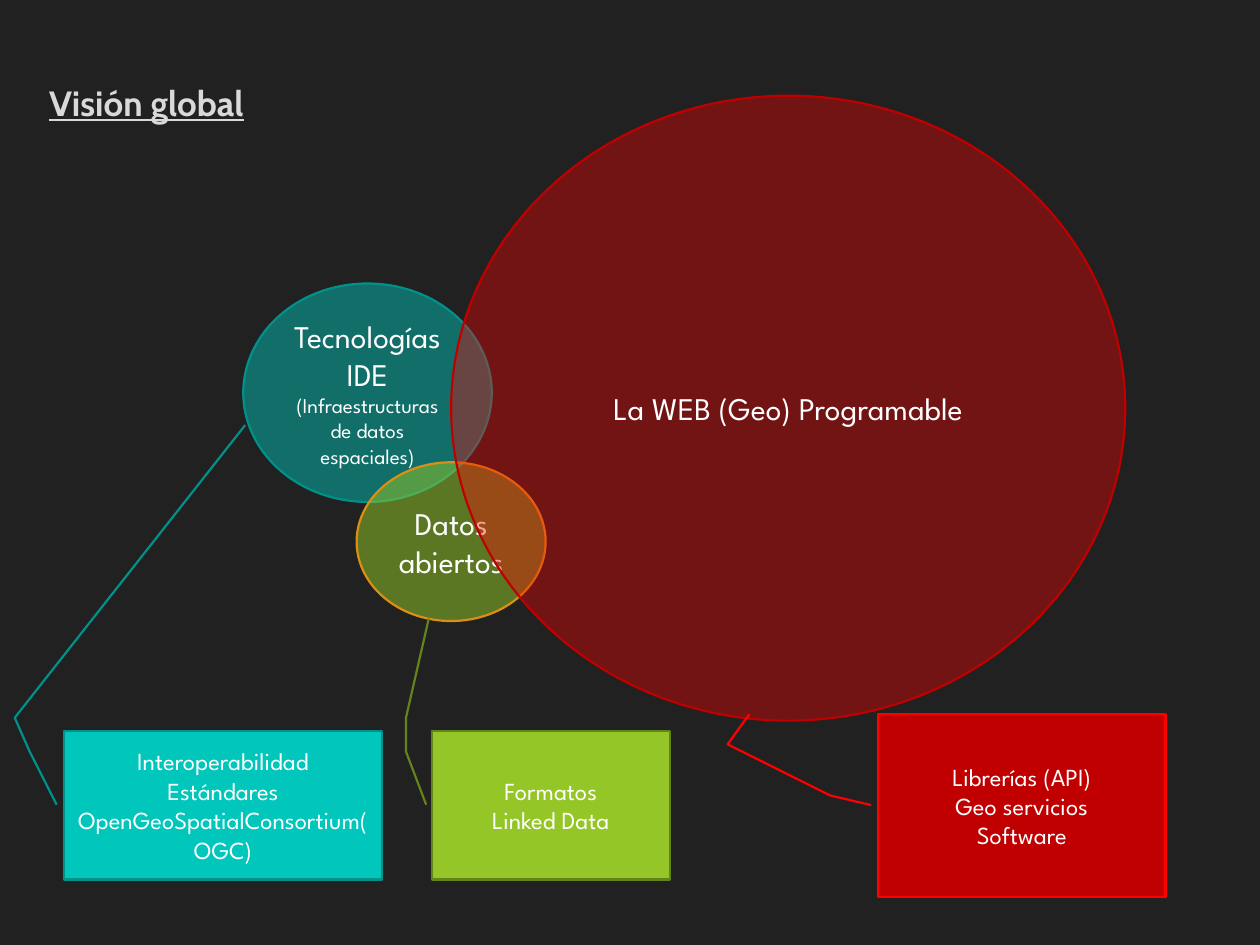
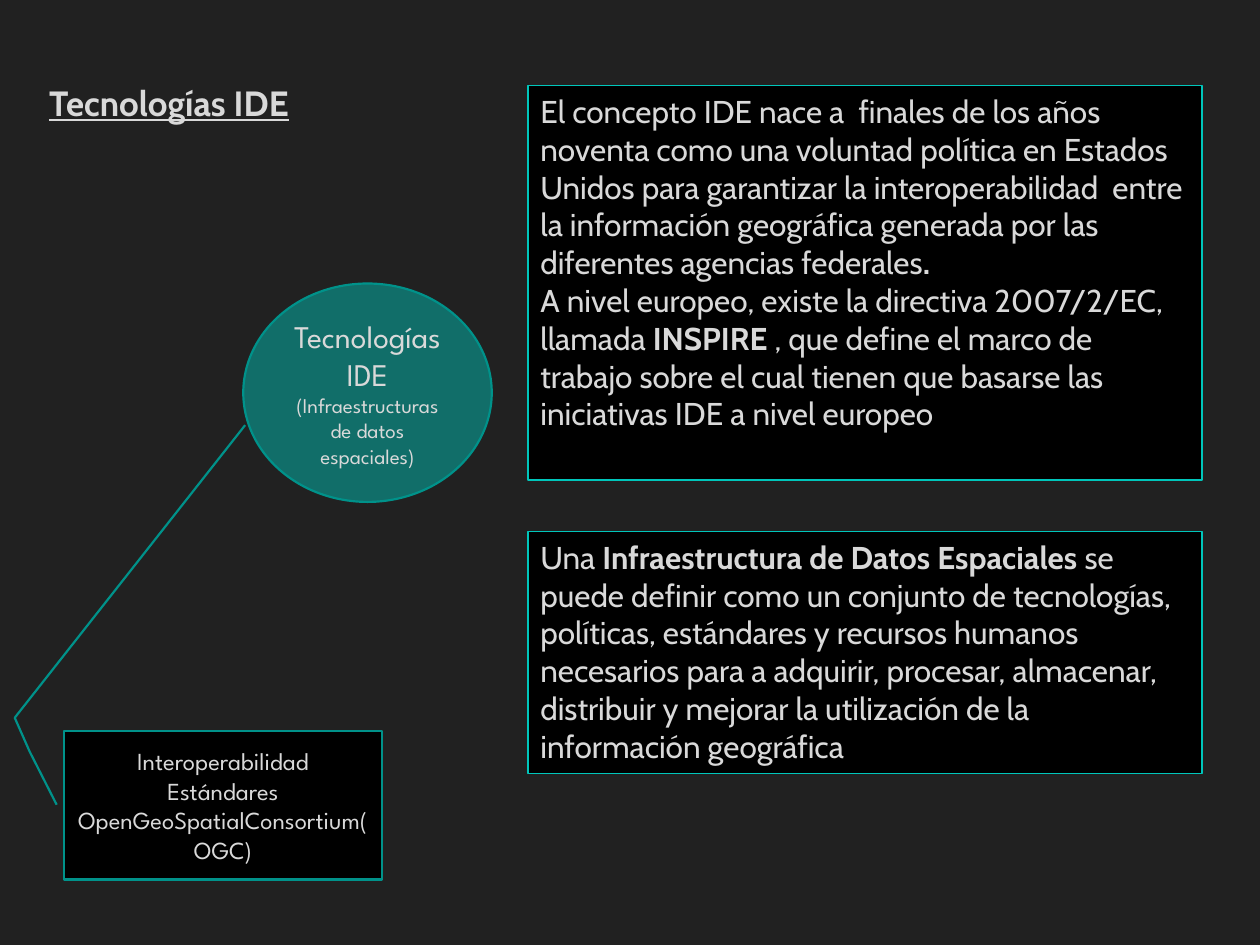
import lxml.etree
import pptx
import pptx.dml.color
import pptx.enum.shapes
import pptx.enum.text
import pptx.oxml.ns
import pptx.util

Pt = pptx.util.Pt
Shapes = pptx.enum.shapes.MSO_SHAPE
Align = pptx.enum.text.PP_ALIGN
Anchor = pptx.enum.text.MSO_ANCHOR

BACKGROUND, BLACK, WHITE, GREY = "212121", "000000", "FFFFFF", "D9D9D9"
TURQUOISE, TEAL = "00C6BB", "00928A"
LIME, OLIVE, ORANGE = "94C627", "63841A", "DC8F14"
RED, CRIMSON = "FF0000", "C00000"
TITLE_FONT, DIAGRAM_FONT = "Cabin", "League Spartan"

TECHNOLOGIES = [("Tecnologías IDE", 18), ("(Infraestructuras de datos espaciales)", 12)]
STANDARDS = ["Interoperabilidad", "Estándares", "OpenGeoSpatialConsortium(OGC)"]
STANDARDS_BOX = (36.7, 417.6, 181.4, 85)
STANDARDS_LEADER = (0.497, -0.024, 0.14, -0.109, -0.088, -0.156, -2.055, 0.57)
DEFINITION_LEFT, DEFINITION_WIDTH = 301.7, 385.2


def rgb(hex_colour):
    return pptx.dml.color.RGBColor.from_string(hex_colour)


class Deck:
    """Hold the shared style and the slide being drawn."""

    def __init__(self):
        self.presentation = pptx.Presentation()
        self.presentation.slide_width = Pt(720)
        self.presentation.slide_height = Pt(540)
        self.slide = None

    def start(self, title):
        self.slide = self.presentation.slides.add_slide(self.presentation.slide_layouts[6])
        background = self.slide.background.fill
        background.solid()
        background.fore_color.rgb = rgb(BACKGROUND)
        heading = self.slide.shapes.add_textbox(Pt(21), Pt(43), Pt(178), Pt(32))
        heading.text_frame.word_wrap = False
        self.add_text(heading, [[(title, 20, True)]], TITLE_FONT, GREY, Align.LEFT, True)

    def add_text(self, shape, paragraphs, font, colour, align, underline=None):
        frame = shape.text_frame
        for index, runs in enumerate(paragraphs):
            paragraph = frame.add_paragraph() if index else frame.paragraphs[0]
            paragraph.alignment = align
            for text, size, bold in runs:
                run = paragraph.add_run()
                run.text = text
                run.font.name = font
                run.font.size = Pt(size)
                run.font.bold = bold
                run.font.underline = underline
                run.font.color.rgb = rgb(colour)

    def outline(self, preset, box, fill, line, width=1.25, opacity=100):
        shape = self.slide.shapes.add_shape(preset, *map(Pt, box))
        shape.shadow.inherit = False
        shape.fill.solid()
        shape.fill.fore_color.rgb = rgb(fill)
        if opacity < 100:
            colour = shape._element.spPr.find(".//" + pptx.oxml.ns.qn("a:srgbClr"))
            alpha = lxml.etree.SubElement(colour, pptx.oxml.ns.qn("a:alpha"))
            alpha.set("val", str(opacity * 1000))
        shape.line.color.rgb = rgb(line)
        shape.line.width = Pt(width)
        shape.text_frame.word_wrap = True
        shape.text_frame.vertical_anchor = Anchor.MIDDLE
        return shape

    def bubble(self, box, lines, fill, line, opacity, colour=WHITE):
        circle = self.outline(Shapes.OVAL, box, fill, line, opacity=opacity)
        paragraphs = [[(text, size, False)] for text, size in lines]
        self.add_text(circle, paragraphs, DIAGRAM_FONT, colour, Align.CENTER)

    def callout(self, box, leader, lines, fill, line, colour=WHITE):
        label = self.outline(Shapes.LINE_CALLOUT_3, box, fill, line)
        for index, value in enumerate(leader):
            label.adjustments[index] = value
        paragraphs = [[(text, 14, False)] for text in lines]
        self.add_text(label, paragraphs, DIAGRAM_FONT, colour, Align.CENTER)

    def definition(self, top, height, paragraphs):
        box = (DEFINITION_LEFT, top, DEFINITION_WIDTH, height)
        panel = self.outline(Shapes.RECTANGLE, box, BLACK, TURQUOISE, 0.75)
        panel.text_frame.vertical_anchor = Anchor.TOP
        sized = [[(text, 18, bold) for text, bold in runs] for runs in paragraphs]
        self.add_text(panel, sized, TITLE_FONT, GREY, Align.LEFT)

    def technologies(self, fill, colour):
        self.bubble((139, 162, 142, 124.8), TECHNOLOGIES, TURQUOISE, TEAL, 47, colour)
        self.callout(STANDARDS_BOX, STANDARDS_LEADER, STANDARDS, fill, TEAL, colour)


def build_overview(deck):
    deck.start("Visión global")
    deck.technologies(TURQUOISE, WHITE)
    deck.bubble((203.8, 264.2, 108, 90.7), [("Datos abiertos", 18)], LIME, ORANGE, 52)
    deck.bubble((257.8, 54.7, 385.2, 357.1), [("La WEB (Geo) Programable", 18)],
                RED, CRIMSON, 37)
    deck.callout((246.8, 417.6, 136, 85),
                 (0.497, -0.024, 0.14, -0.109, -0.088, -0.109, -0.755, -0.013),
                 ["Formatos", "Linked Data"], LIME, OLIVE)
    deck.callout((501.8, 408.2, 164.2, 104.4),
                 (0.497, -0.024, 0.444, -0.167, 0.164, -0.524, -0.001, -0.448),
                 ["Librerías (API)", "Geo servicios", "Software"], CRIMSON, RED)


def build_technologies(deck):
    deck.start("Tecnologías IDE")
    deck.technologies(BLACK, GREY)
    deck.definition(303.8, 138.2, [[
        ("Una ", False),
        ("Infraestructura de Datos Espaciales ", True),
        ("se puede definir como un conjunto de tecnologías, políticas, estándares y "
         "recursos humanos necesarios para a adquirir, procesar, almacenar, distribuir "
         "y mejorar la utilización de la información geográfica", False),
    ]])
    deck.definition(49, 225.4, [
        [("El concepto IDE nace a  finales de los años noventa como una voluntad "
          "política en Estados Unidos para garantizar la interoperabilidad  entre la "
          "información geográfica generada por las diferentes agencias federales", False),
         (".", True)],
        [("A nivel europeo, existe la directiva 2007/2/EC, llamada ", False),
         ("INSPIRE", True),
         (" , que define el marco de trabajo sobre el cual tienen que basarse las "
          "iniciativas IDE a nivel europeo", False)],
    ])


def main():
    deck = Deck()
    build_overview(deck)
    build_technologies(deck)
    deck.presentation.save("out.pptx")


if __name__ == "__main__":
    main()
